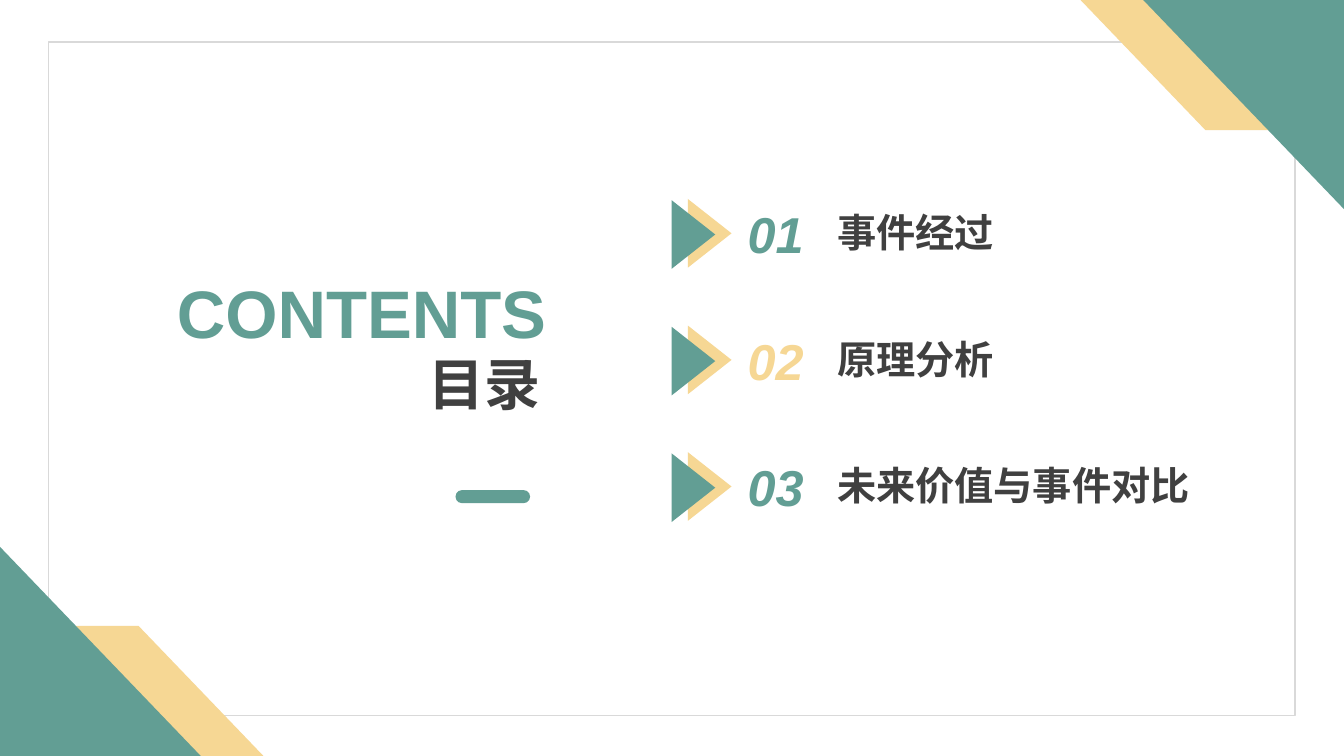
"""Builds a contents slide with corner bands and three numbered entries."""
from pptx import Presentation
from pptx.dml.color import RGBColor
from pptx.enum.shapes import MSO_SHAPE
from pptx.enum.text import MSO_ANCHOR, MSO_AUTO_SIZE, PP_ALIGN
from pptx.util import Cm, Pt

RECTANGLE = MSO_SHAPE.RECTANGLE
ROUNDED = MSO_SHAPE.ROUNDED_RECTANGLE
TRIANGLE = MSO_SHAPE.ISOSCELES_TRIANGLE
TOP, MIDDLE = MSO_ANCHOR.TOP, MSO_ANCHOR.MIDDLE
LEFT, RIGHT = PP_ALIGN.LEFT, PP_ALIGN.RIGHT
GROW = MSO_AUTO_SIZE.SHAPE_TO_FIT_TEXT

GREEN, YELLOW, DARK, GREY = "629E94", "F6D794", "404040", "D9D9D9"
WIDTH, HEIGHT = 33.87, 19.05
ENTRY_STEP = 3.19
ENTRIES = [("事件经过", GREEN), ("原理分析", YELLOW), ("未来价值与事件对比", GREEN)]


def color(value):
    """Turn a hex string into a colour."""
    return RGBColor.from_string(value)


def paint(shape, fill):
    """Give a shape a plain fill without line or shadow."""
    shape.shadow.inherit = False
    shape.fill.solid()
    shape.fill.fore_color.rgb = color(fill)
    shape.line.fill.background()


def add_shape(slide, kind, left, top, width, height, fill):
    """Add a filled preset shape."""
    shape = slide.shapes.add_shape(kind, Cm(left), Cm(top), Cm(width), Cm(height))
    paint(shape, fill)
    return shape


def add_text(slide, text, left, top, width, height, *, size, fill,
             italic=False, align=LEFT, anchor=TOP):
    """Add one line of bold text."""
    box = slide.shapes.add_textbox(Cm(left), Cm(top), Cm(width), Cm(height))
    frame = box.text_frame
    frame.word_wrap = False
    frame.auto_size = GROW
    frame.vertical_anchor = anchor
    paragraph = frame.paragraphs[0]
    paragraph.alignment = align
    run = paragraph.add_run()
    run.text = text
    run.font.name = "Arial"
    run.font.size = Pt(size)
    run.font.bold = True
    run.font.italic = italic
    run.font.color.rgb = color(fill)


def add_frame(slide, left, top, width, height):
    """Add the thin frame around the content."""
    frame = slide.shapes.add_shape(RECTANGLE, Cm(left), Cm(top), Cm(width), Cm(height))
    frame.shadow.inherit = False
    frame.fill.background()
    frame.line.color.rgb = color(GREY)
    frame.line.width = Pt(1)


def add_corner(slide, left, top, direction):
    """Add the band and triangle that run inwards from a slide corner."""
    band = [(0, 0), (6.64, 0), (3.49, 3.28), (0, 3.28)]
    triangle = [(0, 0), (5.06, 0), (0, 5.27)]
    for outline, fill in ((band, YELLOW), (triangle, GREEN)):
        points = [(Cm(left - direction * x), Cm(top + direction * y)) for x, y in outline]
        builder = slide.shapes.build_freeform(*points[0])
        builder.add_line_segments(points[1:], close=True)
        paint(builder.convert_to_shape(), fill)


def add_heading(slide, left, top):
    """Add the two-line heading and the bar below it."""
    add_text(slide, "目录", left + 6.58, top + 1.98, 3.35, 1.96,
             size=40, fill=DARK, align=RIGHT)
    bar = add_shape(slide, ROUNDED, left + 7.54, top + 5.64, 1.88, 0.33, GREEN)
    bar.adjustments[0] = 0.5
    add_text(slide, "CONTENTS", left, top, 10.08, 2.31,
             size=48, fill=GREEN, align=RIGHT)


def add_entry(slide, left, top, number, title, fill):
    """Add one entry: double arrow, number and title."""
    for offset_x, offset_y, arrow_fill in ((0.41, 0.35, YELLOW), (0, 0.38, GREEN)):
        arrow = add_shape(slide, TRIANGLE, left + offset_x, top + offset_y,
                          1.73, 1.1, arrow_fill)
        arrow.rotation = 90
    add_text(slide, f"{number:02d}", left + 1.98, top, 1.93, 1.8,
             size=36, fill=fill, italic=True, anchor=MIDDLE)
    add_text(slide, title, left + 4.24, top + 0.15, 0.51 + 0.99 * len(title), 1.45,
             size=28, fill=DARK)


def main():
    """Build the slide and save it."""
    presentation = Presentation()
    presentation.slide_width = Cm(WIDTH)
    presentation.slide_height = Cm(HEIGHT)
    slide = presentation.slides.add_slide(presentation.slide_layouts[6])
    add_frame(slide, 1.22, 1.06, 31.42, 16.97)
    add_corner(slide, WIDTH, 0, 1)
    add_corner(slide, 0, HEIGHT, -1)
    for index, (title, fill) in enumerate(ENTRIES):
        add_entry(slide, 16.61, 4.98 + index * ENTRY_STEP, index + 1, title, fill)
    add_heading(slide, 3.94, 6.71)
    presentation.save("out.pptx")


if __name__ == "__main__":
    main()
